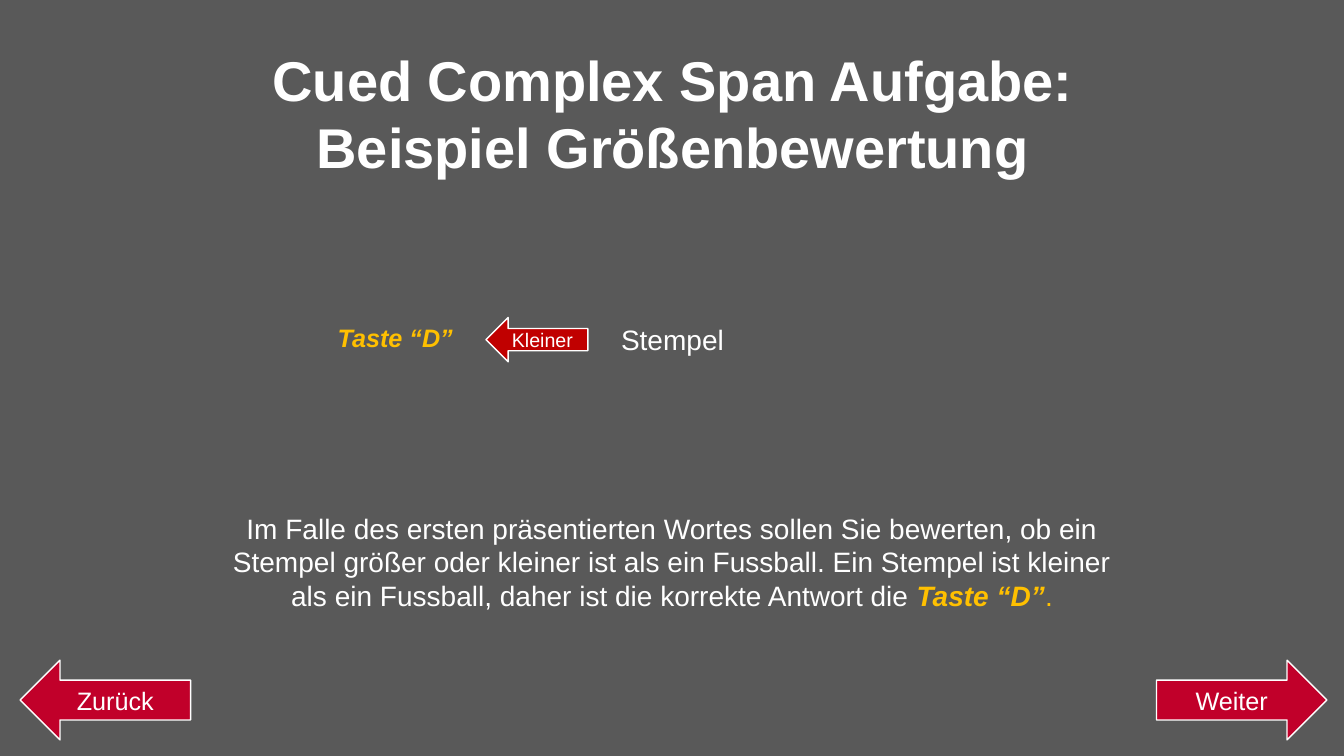
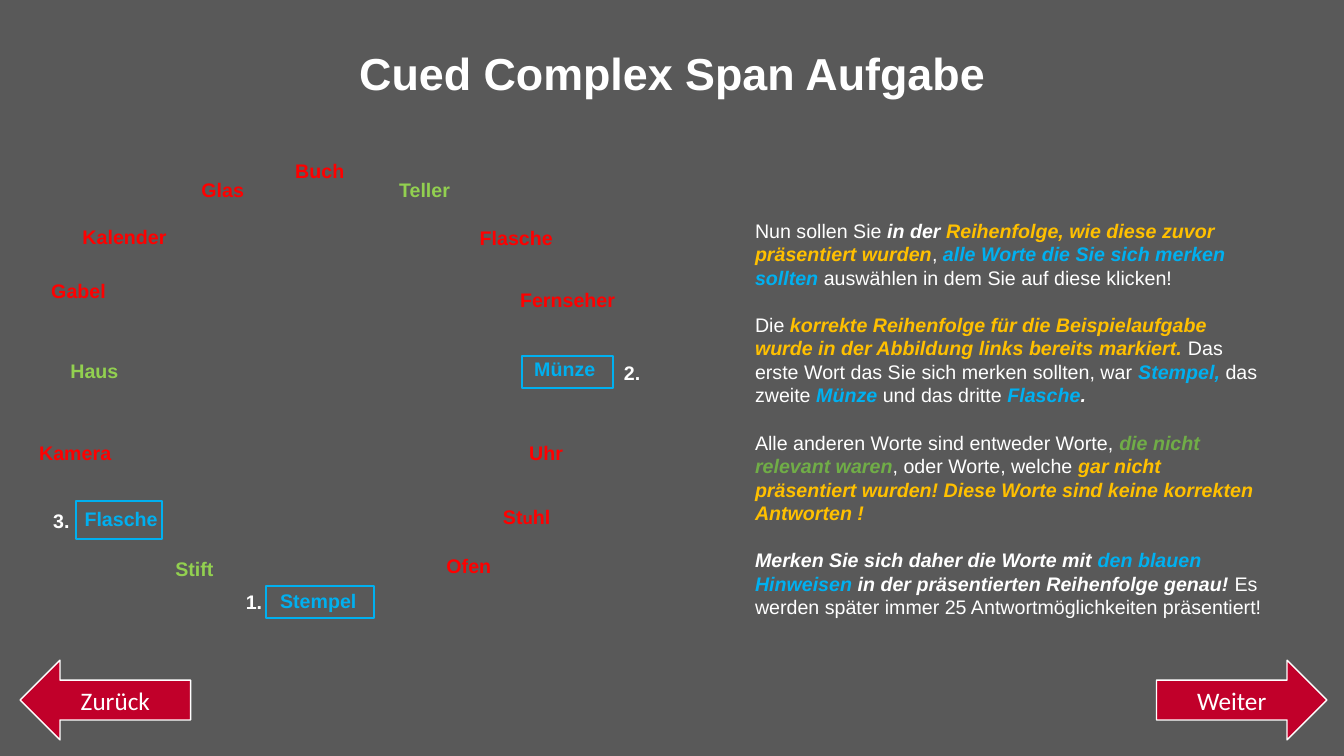
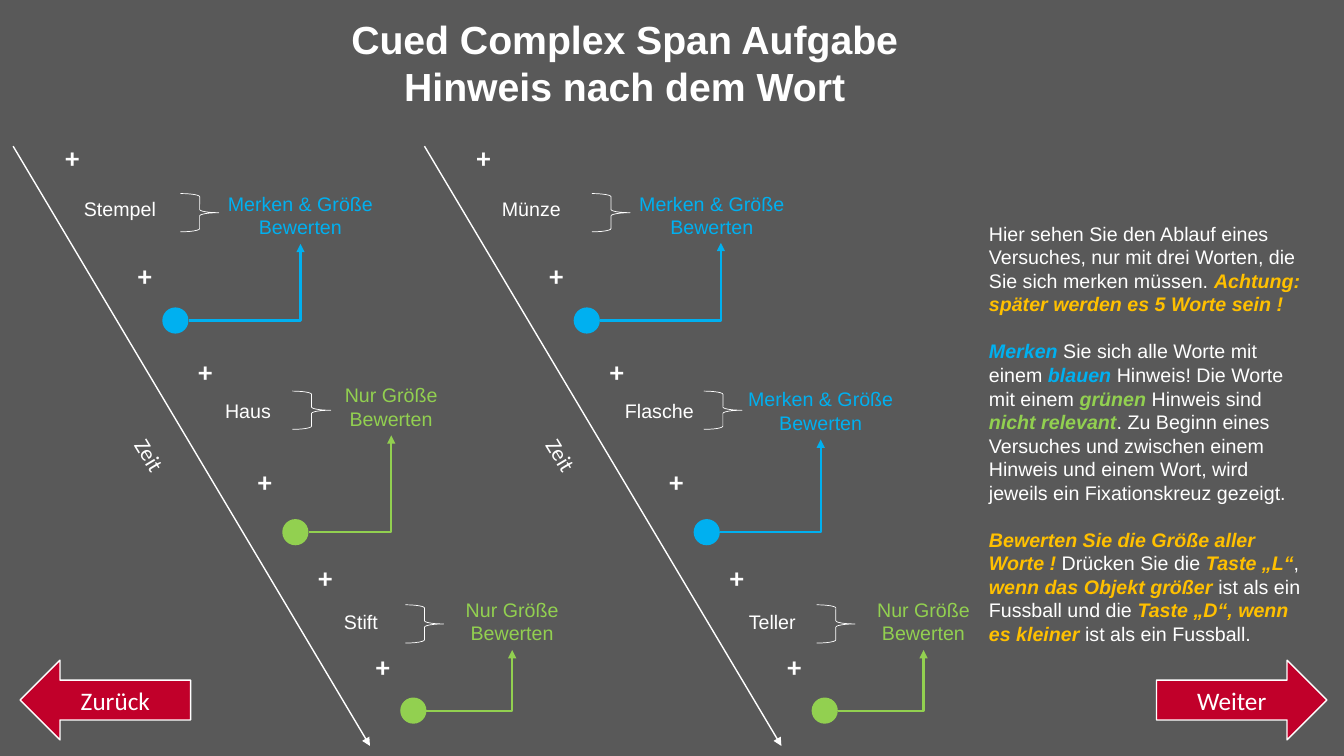
from dataclasses import dataclass

from pptx import Presentation
from pptx import util as u
from pptx.dml.color import RGBColor
from pptx.enum import shapes, text
from pptx.oxml.ns import qn
from lxml import etree


@dataclass(frozen=True)
class Theme:
    back: str = "595959"
    white: str = "FFFFFF"
    gold: str = "FFC000"
    blue: str = "00B0F0"
    green: str = "92D050"
    moss: str = "70AD47"
    red: str = "FF0000"
    nav: str = "C1002A"
    dark: str = "C00000"
    sans: str = "Arial"
    alt: str = "Calibri"
    small: int = 12
    body: int = 14
    time: int = 16
    label: int = 18
    lead: int = 20
    gap: float = 16.8


T = Theme()
KIND = shapes.MSO_SHAPE
MID = text.PP_ALIGN.CENTER
LEFT = text.PP_ALIGN.LEFT

# Run styles: colour, bold, italic
STYLE = {
    "plain": (T.white, False, False),
    "bold": (T.white, True, False),
    "strong": (T.white, True, True),
    "gold": (T.gold, True, True),
    "dot": (T.gold, False, False),
    "blue": (T.blue, True, True),
    "green": (T.green, True, True),
    "moss": (T.moss, True, True),
    "cue": (T.blue, False, False),
    "skip": (T.green, False, False),
    "keep": (T.blue, True, False),
    "seen": (T.green, True, False),
    "new": (T.red, True, False),
}


def rgb(code):
    return RGBColor.from_string(code)


def write(frame, paras, size, font=T.sans, align=LEFT, gap=0):
    """Fill a frame; each paragraph is a list of (text, style[, size])."""
    for n, runs in enumerate(paras):
        para = frame.paragraphs[0] if n == 0 else frame.add_paragraph()
        para.alignment = align
        para.space_before = u.Pt(gap if n else 0)
        for words, style, *own in runs:
            run = para.add_run()
            run.text = words
            color, run.font.bold, run.font.italic = STYLE[style]
            run.font.color.rgb = rgb(color)
            run.font.name = font
            run.font.size = u.Pt(own[0] if own else size)


def box(slide, at, paras, size=T.body, wrap=True, turn=0, **look):
    item = slide.shapes.add_textbox(*map(u.Inches, at))
    item.text_frame.word_wrap = wrap
    item.rotation = turn
    write(item.text_frame, paras, size, **look)


def title(slide, at, lines, size):
    box(slide, at, [[(line, "bold")] for line in lines], size,
        wrap=False, align=MID)


def shape(slide, kind, at, fill=None, line=None, width=1):
    item = slide.shapes.add_shape(kind, *map(u.Inches, at))
    item.shadow.inherit = False
    if fill:
        item.fill.solid()
        item.fill.fore_color.rgb = rgb(fill)
    else:
        item.fill.background()
    if line:
        item.line.color.rgb = rgb(line)
        item.line.width = u.Pt(width)
    else:
        item.line.fill.background()
    return item


def arrow(slide, kind, at, fill, words, size, font=T.sans):
    item = shape(slide, kind, at, fill, T.white)
    item.text_frame.vertical_anchor = text.MSO_ANCHOR.MIDDLE
    write(item.text_frame, [[(words, "plain")]], size, font, MID)


def link(slide, start, end, color, width, bent=False):
    """Straight or one-corner line with an arrowhead at its end."""
    kind = shapes.MSO_CONNECTOR.ELBOW if bent else shapes.MSO_CONNECTOR.STRAIGHT
    item = slide.shapes.add_connector(kind, *map(u.Inches, (*start, *end)))
    item.line.color.rgb = rgb(color)
    item.line.width = u.Pt(width)
    props = item._element.spPr
    if bent:
        props.find(qn("a:prstGeom")).set("prst", "bentConnector2")
    etree.SubElement(props.find(qn("a:ln")), qn("a:tailEnd"), type="triangle")
    etree.SubElement(props, qn("a:effectLst"))


def page(deck, font):
    """New slide with the back and next arrows."""
    slide = deck.slides.add_slide(deck.slide_layouts[6])
    for kind, left, words in ((KIND.RIGHT_ARROW, 11.47, "Weiter"),
                              (KIND.LEFT_ARROW, 0.2, "Zurück")):
        arrow(slide, kind, (left, 6.55, 1.69, 0.79), T.nav, words,
              T.label, font)
    return slide


# Slide 1: rating example
def rating(deck):
    slide = page(deck, T.sans)
    title(slide, (2.56, 0.4, 8.22, 1.45),
          ["Cued Complex Span Aufgabe:", "Beispiel Größenbewertung"], 40)
    box(slide, (2.06, 5.02, 9.21, 1.78), [[
        ("Im Falle des ersten präsentierten Wortes sollen Sie bewerten, ob "
         "ein Stempel größer oder kleiner ist als ein Fussball. Ein Stempel "
         "ist kleiner als ein Fussball, daher ist die korrekte Antwort die ",
         "plain"),
        ("Taste “D”", "gold"), (".", "dot")]], T.lead, align=MID)
    box(slide, (4.3, 3.15, 4.74, 0.44), [[("Stempel", "plain")]], T.lead,
        align=MID)
    box(slide, (3.25, 3.15, 1.36, 0.4), [[("Taste “D”", "gold")]], T.label)
    arrow(slide, KIND.LEFT_ARROW, (4.82, 3.15, 1.01, 0.44), T.dark,
          "Kleiner", T.body)


# Slide 2: word circle; left, top, width, style, word
WORDS = [
    (2.68, 5.79, 1.07, "keep", "Stempel"),
    (0.72, 2.18, 1.16, "new", "Kalender"),
    (0.6, 3.51, 0.76, "seen", "Haus"),
    (0.74, 4.98, 0.99, "keep", "Flasche"),
    (4.33, 5.45, 0.73, "new", "Ofen"),
    (2.83, 1.53, 0.76, "new", "Buch"),
    (1.9, 1.72, 0.76, "new", "Glas"),
    (1.64, 5.48, 0.76, "seen", "Stift"),
    (0.29, 4.33, 1.03, "new", "Kamera"),
    (5.2, 3.49, 0.91, "keep", "Münze"),
    (5.06, 2.81, 1.35, "new", "Fernseher"),
    (0.41, 2.72, 0.98, "new", "Gabel"),
    (4.66, 2.19, 1.1, "new", "Flasche"),
    (5.15, 4.33, 0.91, "new", "Uhr"),
    (3.86, 1.72, 1.03, "seen", "Teller"),
    (2.34, 5.8, 0.4, "bold", "1."),
    (6.09, 3.53, 0.4, "bold", "2."),
    (0.43, 5, 0.4, "bold", "3."),
]
FRAMES = [(2.64, 5.81, 1.07, 0.32), (5.18, 3.53, 0.9, 0.32),
          (0.75, 4.97, 0.86, 0.38)]
RECALL = [
    [("Nun sollen Sie ", "plain"), ("in der ", "strong"),
     ("Reihenfolge, wie diese zuvor präsentiert wurden", "gold"),
     (", ", "plain"), ("alle Worte die Sie sich merken sollten ", "blue"),
     ("auswählen in dem Sie auf diese klicken!", "plain")],
    [("Die ", "plain"),
     ("korrekte Reihenfolge für die Beispielaufgabe wurde in der Abbildung "
      "links bereits markiert. ", "gold"),
     ("Das erste Wort das Sie sich merken sollten, war ", "plain"),
     ("Stempel, ", "blue"), ("das zweite ", "plain"), ("Münze ", "blue"),
     ("und das dritte ", "plain"), ("Flasche", "blue"), (".", "strong")],
    [("Alle anderen Worte sind entweder Worte, ", "plain"),
     ("die nicht relevant waren", "moss"),
     (", oder Worte, welche ", "plain"),
     ("gar nicht präsentiert wurden! Diese Worte sind keine korrekten "
      "Antworten !", "gold")],
    [("Merken Sie sich daher die Worte mit ", "strong"),
     ("den blauen Hinweisen", "blue"),
     (" in der präsentierten Reihenfolge genau! ", "strong"),
     ("Es werden später immer 25 Antwortmöglichkeiten präsentiert!",
      "plain")],
]


def recall(deck):
    slide = page(deck, T.alt)
    title(slide, (3.44, 0.4, 6.46, 0.64), ["Cued Complex Span Aufgabe"], 32)
    box(slide, (7.39, 2.12, 5.23, 4.34), RECALL, gap=T.gap)
    for left, top, wide, style, word in WORDS:
        box(slide, (left, top, wide, 0.34), [[(word, style)]])
    box(slide, (4.89, 4.96, 0.73, 0.34),
        [[("St", "new"), ("u", "new", T.small), ("hl", "new")]])
    for at in FRAMES:
        shape(slide, KIND.RECTANGLE, at, line=T.blue, width=1.5)


# Slide 3: two time lines, the second moved right by SHIFT
SHIFT = 4.08
DOT = 0.26
CROSSES = [(0.55, 1.34), (1.27, 2.52), (1.87, 3.47),
           (2.46, 4.56), (3.06, 5.51), (3.63, 6.39)]
# Word middle and top, brace corner, dot corner
STEPS = [((1.19, 1.9), (1.79, 1.92), (1.61, 3.05)),
         ((2.46, 3.91), (2.9, 3.88), (2.8, 5.15)),
         ((3.58, 6), (4.02, 6), (3.97, 6.92))]
# Word, style, hint middle and top, arrow tip
TRIALS = [
    [("Stempel", "cue", (2.98, 1.85), (2.98, 2.42)),
     ("Haus", "skip", (3.88, 3.75), (3.88, 4.32)),
     ("Stift", "skip", (5.08, 5.88), (5.08, 6.45))],
    [("Münze", "cue", (2.98, 1.85), (3.07, 2.41)),
     ("Flasche", "cue", (4.06, 3.79), (4.06, 4.36)),
     ("Teller", "skip", (5.08, 5.88), (5.08, 6.45))],
]
HINT = {"cue": "Merken & Größe Bewerten", "skip": "Nur Größe Bewerten"}
COURSE = [
    [("Hier sehen Sie den Ablauf eines Versuches, nur mit drei Worten, die "
      "Sie sich merken müssen. ", "plain"),
     ("Achtung: später werden es 5 Worte sein !", "gold")],
    [("Merken", "blue"), (" Sie sich alle Worte mit einem ", "plain"),
     ("blauen ", "blue"), ("Hinweis! Die Worte mit einem ", "plain"),
     ("grünen ", "green"), ("Hinweis sind ", "plain"),
     ("nicht relevant", "green"),
     (". Zu Beginn eines Versuches und zwischen einem Hinweis und einem "
      "Wort, wird jeweils ein Fixationskreuz gezeigt.", "plain")],
    [("Bewerten Sie die Größe aller Worte ! ", "gold"),
     ("Drücken Sie die ", "plain"), ("Taste „L“", "gold"), (", ", "plain"),
     ("wenn das Objekt größer ", "gold"),
     ("ist als ein Fussball und die ", "plain"),
     ("Taste „D“, wenn es kleiner ", "gold"),
     ("ist als ein Fussball.", "plain")],
]


def track(slide, dx, trial):
    link(slide, (0.13 + dx, 1.45), (3.67 + dx, 7.4), T.white, 1)
    box(slide, (0.86 + dx, 4.33, 1.25, 0.37), [[("Zeit", "plain")]], T.time,
        turn=58.9, font=T.alt, align=MID)
    for x, y in CROSSES:
        box(slide, (x + dx, y, 0.32, 0.44), [[("+", "bold")]], T.lead,
            font=T.alt)
    for (spot, brace, dot), (word, style, hint, tip) in zip(STEPS, trial):
        color = STYLE[style][0]
        for (x, y), wide, high, words, look in (
                (spot, 1.1, 0.34, word, "plain"),
                (hint, 1.67, 0.57, HINT[style], style)):
            box(slide, (x - wide / 2 + dx, y, wide, high),
                [[(words, look)]], align=MID)
        shape(slide, KIND.RIGHT_BRACE, (brace[0] + dx, brace[1], 0.38, 0.38),
              line=T.white, width=0.5)
        x, y = dot[0] + dx, dot[1]
        shape(slide, KIND.OVAL, (x, y, DOT, DOT), color)
        link(slide, (x + DOT, y + DOT / 2), (tip[0] + dx, tip[1]), color,
             1.5, bent=True)


def course(deck):
    slide = page(deck, T.alt)
    title(slide, (3.35, 0.1, 5.69, 1.04),
          ["Cued Complex Span Aufgabe", "Hinweis nach dem Wort"], 28)
    box(slide, (9.71, 2.15, 3.31, 4.61), COURSE, gap=T.gap)
    for n, trial in enumerate(TRIALS):
        track(slide, n * SHIFT, trial)


def main():
    deck = Presentation()
    deck.slide_width, deck.slide_height = u.Inches(13.33), u.Inches(7.5)
    # Shared background
    fill = deck.slide_master.background.fill
    fill.solid()
    fill.fore_color.rgb = rgb(T.back)
    for build in (rating, recall, course):
        build(deck)
    deck.save("out.pptx")


if __name__ == "__main__":
    main()
